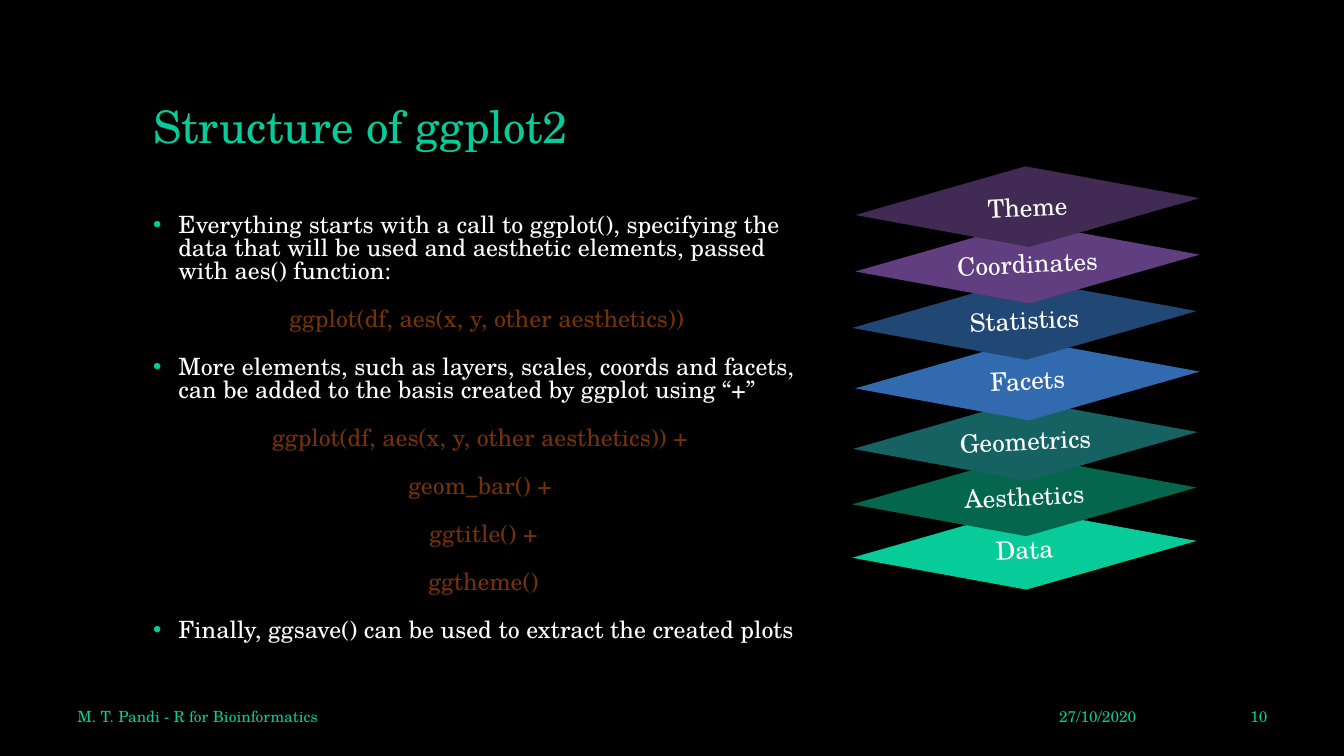
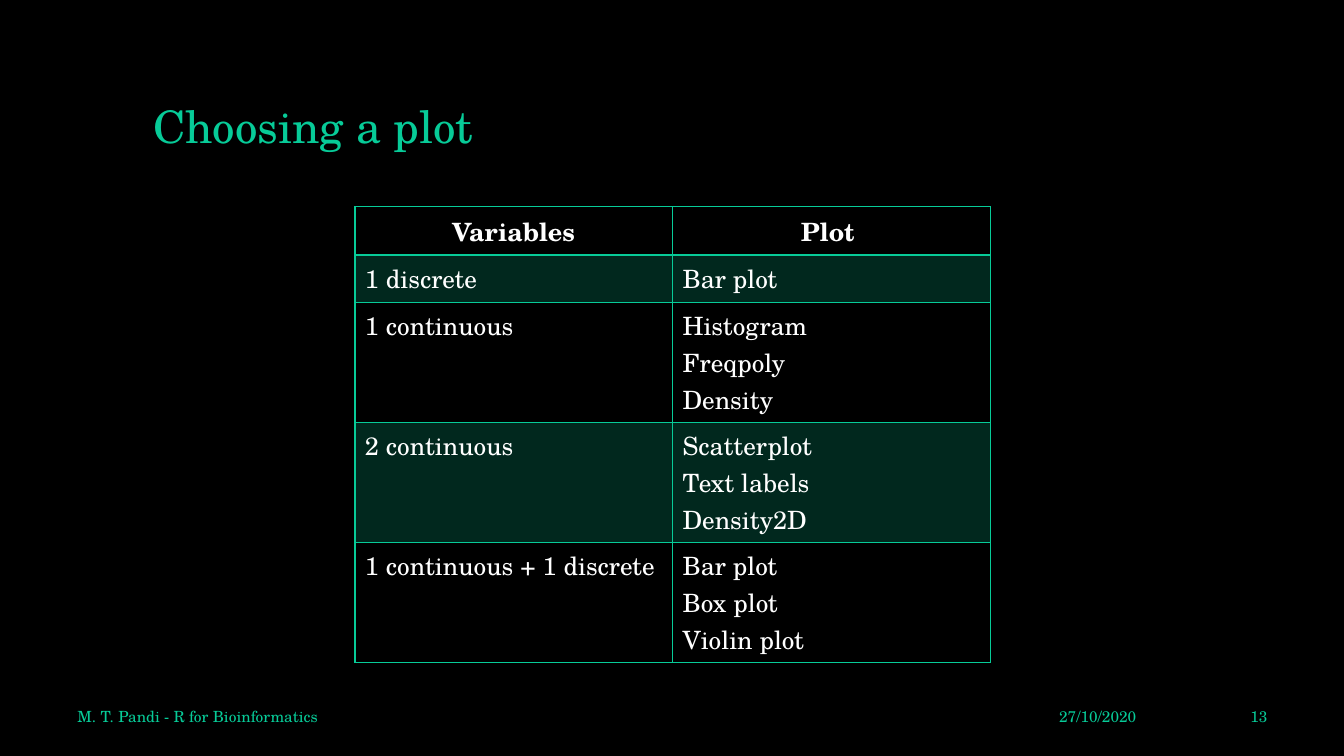
from lxml import etree
from pptx import Presentation
from pptx.dml.color import RGBColor
from pptx.enum import shapes, text
from pptx.oxml.ns import qn
from pptx.util import Inches, Pt

FONT = "TeX Gyre Schola"
MINT, WHITE, BROWN, BLACK = "07CB98", "FFFFFF", "753209", "000000"
LEFT, MID, RIGHT = text.PP_ALIGN.LEFT, text.PP_ALIGN.CENTER, text.PP_ALIGN.RIGHT
TOP, CENTER, BOTTOM = text.MSO_ANCHOR.TOP, text.MSO_ANCHOR.MIDDLE, text.MSO_ANCHOR.BOTTOM

STEPS = [
    ("Everything starts with a call to ggplot(), specifying the data that will be used "
     "and aesthetic elements, passed with aes() function:", False),
    (" ggplot(df, aes(x, y, other aesthetics))", True),
    ("More elements, such as layers, scales, coords and facets, can be added to the basis "
     "created by ggplot using “+”", False),
    ("ggplot(df, aes(x, y, other aesthetics)) + ", True),
    ("geom_bar() + ", True),
    ("ggtitle() +", True),
    ("ggtheme()", True),
    ("Finally, ggsave() can be used to extract the created plots", False),
]
LAYERS = [
    ("Data", 8.45, 5.05, MINT),
    ("Aesthetics", 8.45, 4.52, "04664C"),
    ("Geometrics", 8.46, 3.97, "166262"),
    ("Facets", 8.48, 3.37, "316AAF"),
    ("Statistics", 8.45, 2.77, "214775"),
    ("Coordinates", 8.48, 2.21, "613E7F"),
    ("Theme", 8.48, 1.65, "412A54"),
]
PLOTS = [
    ("Variables", ["Plot "]),
    ("1 discrete", ["Bar plot"]),
    ("1 continuous", ["Histogram", "Freqpoly", "Density"]),
    ("2 continuous", ["Scatterplot", "Text labels", "Density2D"]),
    ("1 continuous + 1 discrete", ["Bar plot", "Box plot", "Violin plot"]),
]


def paint(target, color):
    target.solid()
    target.fore_color.rgb = RGBColor.from_string(color)


def add_run(para, words, size, color, bold=False):
    run = para.add_run()
    run.text = words
    run.font.name, run.font.size, run.font.bold = FONT, Pt(size), bold
    paint(run.font.fill, color)


def add_box(slide, x, y, w, h, anchor=CENTER):
    box = slide.shapes.add_textbox(Inches(x), Inches(y), Inches(w), Inches(h))
    frame = box.text_frame
    frame.word_wrap = True
    frame.vertical_anchor = anchor
    return frame


def add_line(slide, words, x, y, w, h, size=11, align=LEFT, anchor=CENTER):
    para = add_box(slide, x, y, w, h, anchor).paragraphs[0]
    para.alignment = align
    add_run(para, words, size, MINT)
    return para


def next_para(frame, index):
    return frame.add_paragraph() if index else frame.paragraphs[0]


def add_bullet(para):
    props = para._p.get_or_add_pPr()
    props.set("marL", str(Inches(0.25)))
    props.set("indent", str(Inches(-0.25)))
    tint = etree.SubElement(props, qn("a:buClr"))
    etree.SubElement(tint, qn("a:srgbClr"), val=MINT)
    etree.SubElement(props, qn("a:buFont"), typeface="Arial")
    etree.SubElement(props, qn("a:buChar"), char="•")


def add_steps(slide):
    frame = add_box(slide, 1.42, 2.09, 6.75, 4.36, TOP)
    for index, (words, code) in enumerate(STEPS):
        para = next_para(frame, index)
        if code:
            para.alignment = MID
        else:
            add_bullet(para)
        para.line_spacing = 0.8
        para.space_before = Pt(18 if index else 0)
        add_run(para, words, 17, BROWN if code else WHITE)


def add_layer(slide, words, x, y, color):
    tile = slide.shapes.add_shape(shapes.MSO_SHAPE.DIAMOND, Inches(x), Inches(y),
                                  Inches(3.42), Inches(0.8))
    tile.rotation = 357.2
    tile.shadow.inherit = False
    tile.line.fill.background()
    paint(tile.fill, color)
    tile.text_frame.vertical_anchor = CENTER
    para = tile.text_frame.paragraphs[0]
    para.alignment = MID
    add_run(para, words, 18, WHITE)


def add_edge(props, index, side, width):
    edge = etree.Element(qn("a:ln" + side), w=str(Pt(width)))
    fill = etree.SubElement(edge, qn("a:solidFill"))
    etree.SubElement(fill, qn("a:srgbClr"), val=MINT)
    props.insert(index, edge)


def fill_cell(cell, lines, row):
    head = row == 0
    for index, words in enumerate(lines):
        para = next_para(cell.text_frame, index)
        para.alignment = MID if head else LEFT
        add_run(para, words, 18, WHITE, head)
    props = cell._tc.get_or_add_tcPr()
    if row % 2:
        paint(cell.fill, MINT)
        tint = props.find(".//" + qn("a:srgbClr"))
        etree.SubElement(tint, qn("a:alpha"), val="20000")
    else:
        cell.fill.background()
    for index, side in enumerate("LRTB"):
        heavy = (row, side) in ((0, "B"), (1, "T"))
        add_edge(props, index, side, 2 if heavy else 1)


def add_plots(slide):
    highs = [0.48] + [0.11 + 0.36 * len(plots) for _, plots in PLOTS[1:]]
    frame = slide.shapes.add_table(len(PLOTS), 2, Inches(3.52), Inches(2.05),
                                   Inches(6.3), Inches(sum(highs)))
    table = frame.table
    table.first_row = table.horz_banding = False
    for row, (kind, plots) in enumerate(PLOTS):
        table.rows[row].height = Inches(highs[row])
        fill_cell(table.cell(row, 0), [kind], row)
        fill_cell(table.cell(row, 1), plots, row)


def add_slide(deck, title, number):
    slide = deck.slides.add_slide(deck.slide_layouts[6])
    paint(slide.background.fill, BLACK)
    para = add_line(slide, title, 1.42, 0.4, 10.5, 1.17, 32, anchor=BOTTOM)
    para.line_spacing = 0.9
    add_line(slide, "M. T. Pandi - R for Bioinformatics", 0.67, 6.98, 6.67, 0.25)
    add_line(slide, "27/10/2020", 10.3, 6.98, 1.07, 0.25, align=RIGHT)
    add_line(slide, str(number), 11.76, 6.98, 0.91, 0.25, align=RIGHT)
    return slide


def main():
    deck = Presentation()
    deck.slide_width, deck.slide_height = Inches(13.33), Inches(7.5)
    slide = add_slide(deck, "Structure of ggplot2", 10)
    add_steps(slide)
    for layer in LAYERS:
        add_layer(slide, *layer)
    add_plots(add_slide(deck, "Choosing a plot", 13))
    deck.save("out.pptx")


if __name__ == "__main__":
    main()
